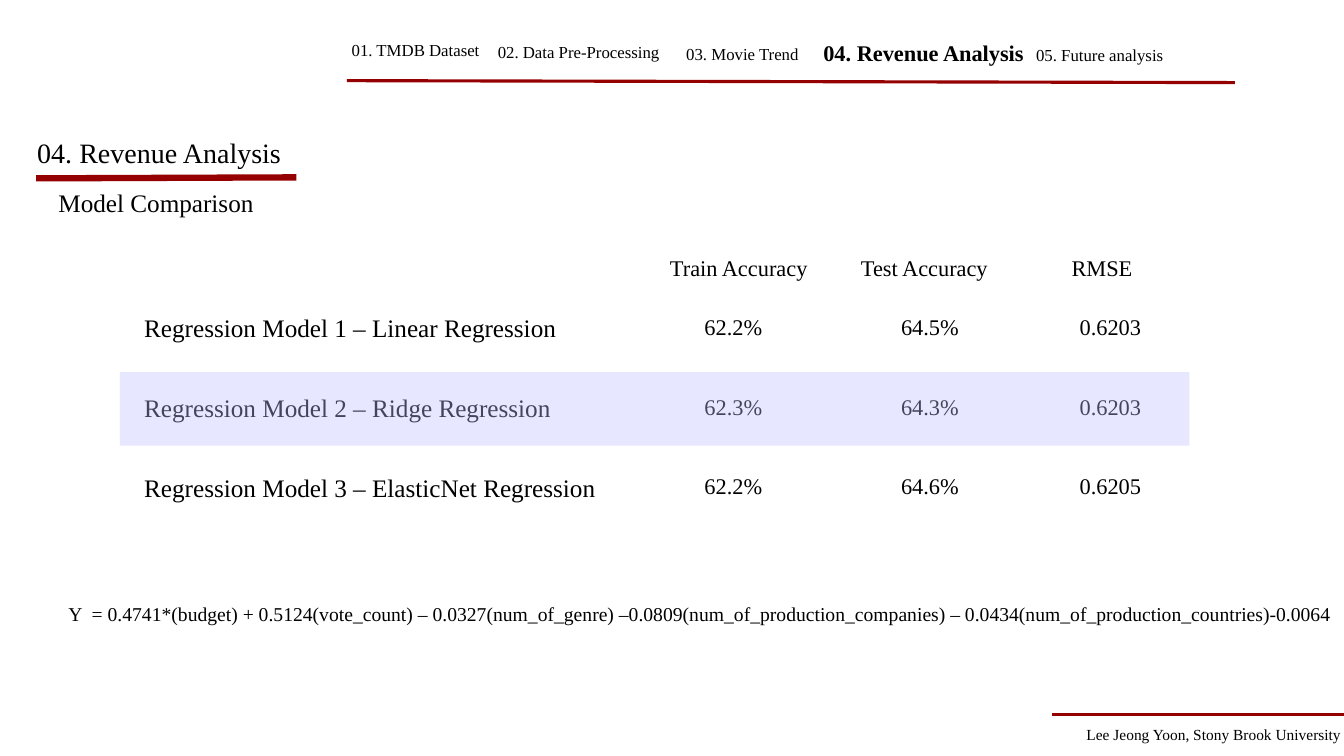
from lxml.etree import SubElement
from pptx import Presentation
from pptx.dml.color import RGBColor
from pptx.enum.shapes import MSO_CONNECTOR, MSO_SHAPE
from pptx.enum.text import MSO_ANCHOR, PP_ALIGN
from pptx.oxml.ns import qn
from pptx.util import Pt

BLACK = RGBColor(0x00, 0x00, 0x00)
WHITE = RGBColor(0xFF, 0xFF, 0xFF)
DARK_RED = RGBColor(0x95, 0x00, 0x00)
LAVENDER = RGBColor(0xBF, 0xBF, 0xFF)
FONT = "Times New Roman"
SLIDE_W, SLIDE_H = 960, 540

# Content
TITLE = "04. Revenue Analysis"
SUBTITLE = "Model Comparison"
FOOTER = "Lee Jeong Yoon, Stony Brook University"
FORMULA = (
    "Y  = 0.4741*(budget) + 0.5124(vote_count) – 0.0327(num_of_genre) "
    "–0.0809(num_of_production_companies) "
    "– 0.0434(num_of_production_countries)-0.0064"
)
# Section name, left, top, width
SECTIONS = [
    ("01. TMDB Dataset", 244.1, 25.2, 165),
    ("02. Data Pre-Processing", 348.5, 26.6, 186),
    ("03. Movie Trend", 483.1, 27.4, 160),
    ("04. Revenue Analysis", 581, 24.5, 184),
    ("05. Future analysis", 733, 28.1, 114),
]
RESULTS = [
    ("", "Train Accuracy", "Test Accuracy", "RMSE"),
    ("Regression Model 1 – Linear Regression", "62.2%", "64.5%", "0.6203"),
    ("Regression Model 2 – Ridge Regression", "62.3%", "64.3%", "0.6203"),
    ("Regression Model 3 – ElasticNet Regression", "62.2%", "64.6%", "0.6205"),
]
# Start and end of each rule, and its weight
RULES = [
    (247.7, 57.6, 882, 59, 2.25),
    (25.9, 127.4, 211.7, 126.7, 4.5),
    (751.7, 510.5, SLIDE_W, 510.5, 2.25),
]

# Table layout
TABLE_LEFT, TABLE_TOP = 95.8, 177.5
COL_WIDTHS = [357.8, 140.4, 140.4, 117.4]
HEADER_INDENTS = [7.2, 25, 21, 31]
HEADER_H, ROW_H = 30, 57


def write(tf, text, size=16, bold=False, align=PP_ALIGN.LEFT, spacing=0.9):
    tf.word_wrap = True
    p = tf.paragraphs[0]
    p.alignment = align
    p.line_spacing = spacing
    r = p.add_run()
    r.text = text
    r.font.name = FONT
    r.font.size = Pt(size)
    r.font.bold = bold
    r.font.color.rgb = BLACK


def add_text(s, text, left, top, width, height, anchor=MSO_ANCHOR.MIDDLE, **fmt):
    tf = s.shapes.add_textbox(Pt(left), Pt(top), Pt(width), Pt(height)).text_frame
    tf.vertical_anchor = anchor
    tf.margin_right = 0
    write(tf, text, **fmt)


def add_rule(s, x1, y1, x2, y2, weight):
    rule = s.shapes.add_connector(
        MSO_CONNECTOR.STRAIGHT, Pt(x1), Pt(y1), Pt(x2), Pt(y2))
    rule.line.color.rgb = DARK_RED
    rule.line.width = Pt(weight)
    SubElement(rule._element.spPr, qn("a:effectLst"))


def add_results(s):
    height = HEADER_H + ROW_H * (len(RESULTS) - 1)
    table = s.shapes.add_table(
        len(RESULTS), len(COL_WIDTHS), Pt(TABLE_LEFT), Pt(TABLE_TOP),
        Pt(sum(COL_WIDTHS)), Pt(height)).table
    table.first_row = table.horz_banding = False
    for column, width in zip(table.columns, COL_WIDTHS):
        column.width = Pt(width)
    for i, values in enumerate(RESULTS):
        table.rows[i].height = Pt(ROW_H if i else HEADER_H)
        for j, value in enumerate(values):
            cell = table.cell(i, j)
            cell.fill.background()
            cell.vertical_anchor = MSO_ANCHOR.MIDDLE
            if i == 0:
                cell.margin_left = Pt(HEADER_INDENTS[j])
                cell.margin_right = 0
            elif j:
                cell.margin_bottom = Pt(6)
            if value:
                centred = i and j
                write(cell.text_frame, value, size=16 if j else 18,
                      align=PP_ALIGN.CENTER if centred else PP_ALIGN.LEFT)


def add_highlight(s):
    band = s.shapes.add_shape(
        MSO_SHAPE.RECTANGLE, Pt(85.7), Pt(265.9), Pt(764), Pt(52.4))
    band.shadow.inherit = False
    band.line.fill.background()
    band.fill.solid()
    band.fill.fore_color.rgb = LAVENDER
    colour = band._element.spPr.find(qn("a:solidFill"))[0]
    SubElement(colour, qn("a:alpha"), val="36000")


def main():
    prs = Presentation()
    prs.slide_width, prs.slide_height = Pt(SLIDE_W), Pt(SLIDE_H)
    s = prs.slides.add_slide(prs.slide_layouts[5])
    s.background.fill.solid()
    s.background.fill.fore_color.rgb = WHITE

    # Section navigation, with the current section emphasised
    for name, left, top, width in SECTIONS:
        current = name == TITLE
        add_text(s, name, left, top, width, 22, anchor=MSO_ANCHOR.TOP,
                 size=16 if current else 12, bold=current, spacing=1.0)

    # Title and subtitle
    title = s.shapes.title
    title.left, title.top = Pt(19.4), Pt(79.2)
    title.width, title.height = Pt(245.5), Pt(62.6)
    title.text_frame.vertical_anchor = MSO_ANCHOR.MIDDLE
    write(title.text_frame, TITLE, size=20)
    add_text(s, SUBTITLE, 34.6, 128.2, 401.8, 35.3, size=18)

    # Red rules
    for rule in RULES:
        add_rule(s, *rule)

    # Model results, with the chosen model highlighted
    add_results(s)
    add_highlight(s)

    # Regression formula and footer
    add_text(s, FORMULA, 41.8, 426.2, SLIDE_W - 41.8, 24.5,
             anchor=MSO_ANCHOR.TOP, size=14, spacing=1.0)
    add_text(s, FOOTER, 769, 514, SLIDE_W - 769, 23, size=11)

    prs.save("out.pptx")


if __name__ == "__main__":
    main()
